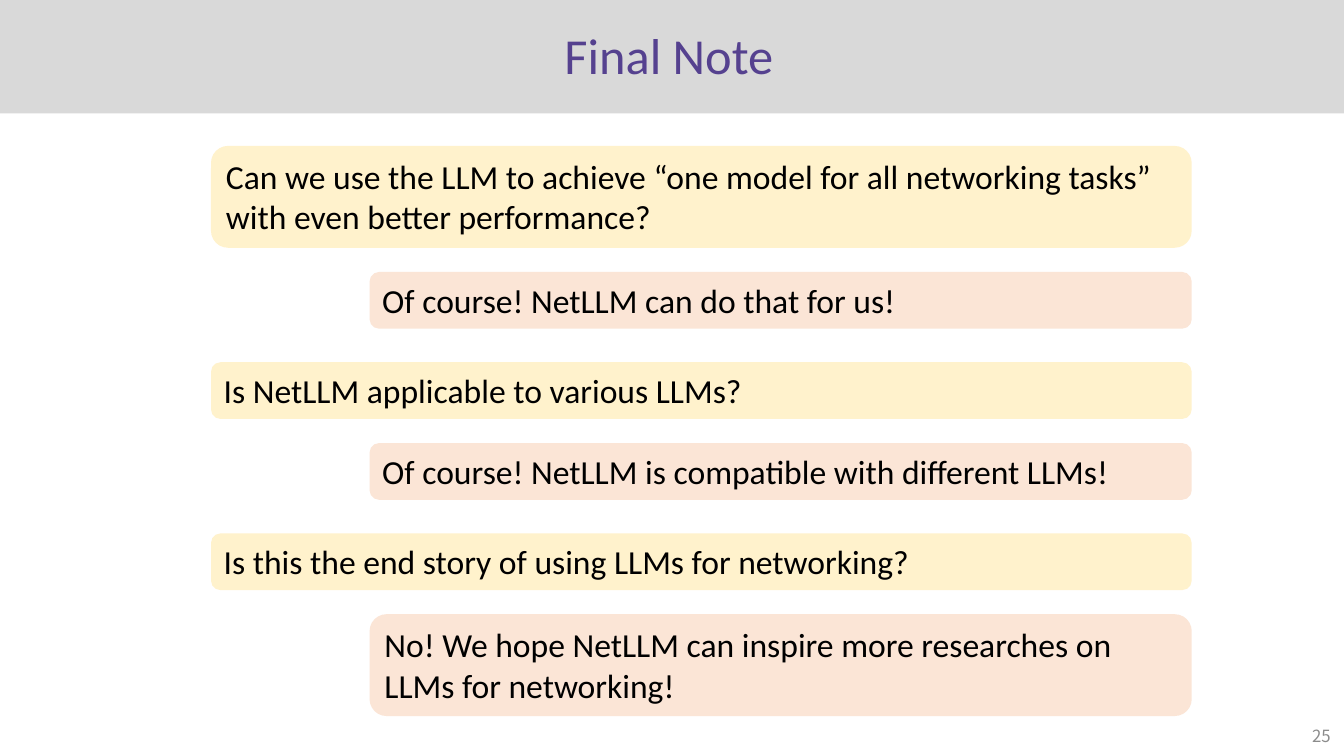
"""Build the closing question-and-answer slide."""
from dataclasses import dataclass

from pptx import Presentation
from pptx.dml.color import RGBColor
from pptx.enum.shapes import MSO_SHAPE as Shape
from pptx.enum.text import MSO_ANCHOR as Anchor, MSO_AUTO_SIZE as Fit, PP_ALIGN as Align
from pptx.util import Emu, Pt


@dataclass(frozen=True)
class Theme:
    band: str = "D9D9D9"
    title: str = "55418F"
    ask: str = "FFF2CC"
    reply: str = "FBE5D6"
    ink: str = "000000"
    muted: str = "8C8C8C"
    font: str = "Calibri"
    num_font: str = "Noto Sans CJK SC"
    big: int = 36
    body: int = 24
    small: int = 12


@dataclass(frozen=True)
class Bubble:
    text: str
    reply: bool
    lines: int = 1


THEME = Theme()
WIDTH, HEIGHT = 1280, 720
RIGHT, TOP = 1135, 139
ASK_LEFT, REPLY_LEFT = 201, 352
ASK_GAP, REPLY_GAP = 23, 32
HEIGHTS = {1: 54, 2: 97}
TALK = [
    Bubble("Can we use the LLM to achieve “one model for all networking tasks” "
           "with even better performance?", False, 2),
    Bubble("Of course! NetLLM can do that for us!", True),
    Bubble("Is NetLLM applicable to various LLMs?", False),
    Bubble("Of course! NetLLM is compatible with different LLMs!", True),
    Bubble("Is this the end story of using LLMs for networking?", False),
    Bubble("No! We hope NetLLM can inspire more researches on LLMs for networking!",
           True, 2),
]


def px(n: int) -> Emu:
    return Emu(n * 9525)


def write(shape, text: str, *, size: int, color: str, font: str = THEME.font,
          align=Align.LEFT, anchor=Anchor.MIDDLE, fit=Fit.NONE,
          spacing: float = 1.0) -> None:
    frame = shape.text_frame
    frame.word_wrap = True
    frame.auto_size = fit
    frame.vertical_anchor = anchor
    para = frame.paragraphs[0]
    para.alignment = align
    para.line_spacing = spacing
    run = para.add_run()
    run.text = text
    run.font.size = Pt(size)
    run.font.name = font
    run.font.color.rgb = RGBColor.from_string(color)


def block(slide, kind, x: int, y: int, w: int, h: int, fill: str):
    shape = slide.shapes.add_shape(kind, px(x), px(y), px(w), px(h))
    shape.shadow.inherit = False
    shape.fill.solid()
    shape.fill.fore_color.rgb = RGBColor.from_string(fill)
    shape.line.fill.background()
    return shape


def label(slide, x: int, y: int, w: int, h: int):
    return slide.shapes.add_textbox(px(x), px(y), px(w), px(h))


def chat(slide, talk: list[Bubble]) -> None:
    y = TOP
    for item in talk:
        x = REPLY_LEFT if item.reply else ASK_LEFT
        fill = THEME.reply if item.reply else THEME.ask
        h = HEIGHTS[item.lines]
        shape = block(slide, Shape.ROUNDED_RECTANGLE, x, y, RIGHT - x, h, fill)
        write(shape, item.text, size=THEME.body, color=THEME.ink,
              anchor=Anchor.TOP, fit=Fit.SHAPE_TO_FIT_TEXT)
        y += h + (REPLY_GAP if item.reply else ASK_GAP)


def main() -> None:
    deck = Presentation()
    deck.slide_width, deck.slide_height = px(WIDTH), px(HEIGHT)
    slide = deck.slides.add_slide(deck.slide_layouts[6])
    block(slide, Shape.RECTANGLE, 0, 0, WIDTH, 108, THEME.band)
    write(label(slide, 36, 2, 1202, 106), "Final Note", size=THEME.big,
          color=THEME.title, align=Align.CENTER, spacing=0.9)
    write(label(slide, 989, 682, 288, 38), "25", size=THEME.small,
          color=THEME.muted, font=THEME.num_font, align=Align.RIGHT)
    chat(slide, TALK)
    deck.save("out.pptx")


if __name__ == "__main__":
    main()
